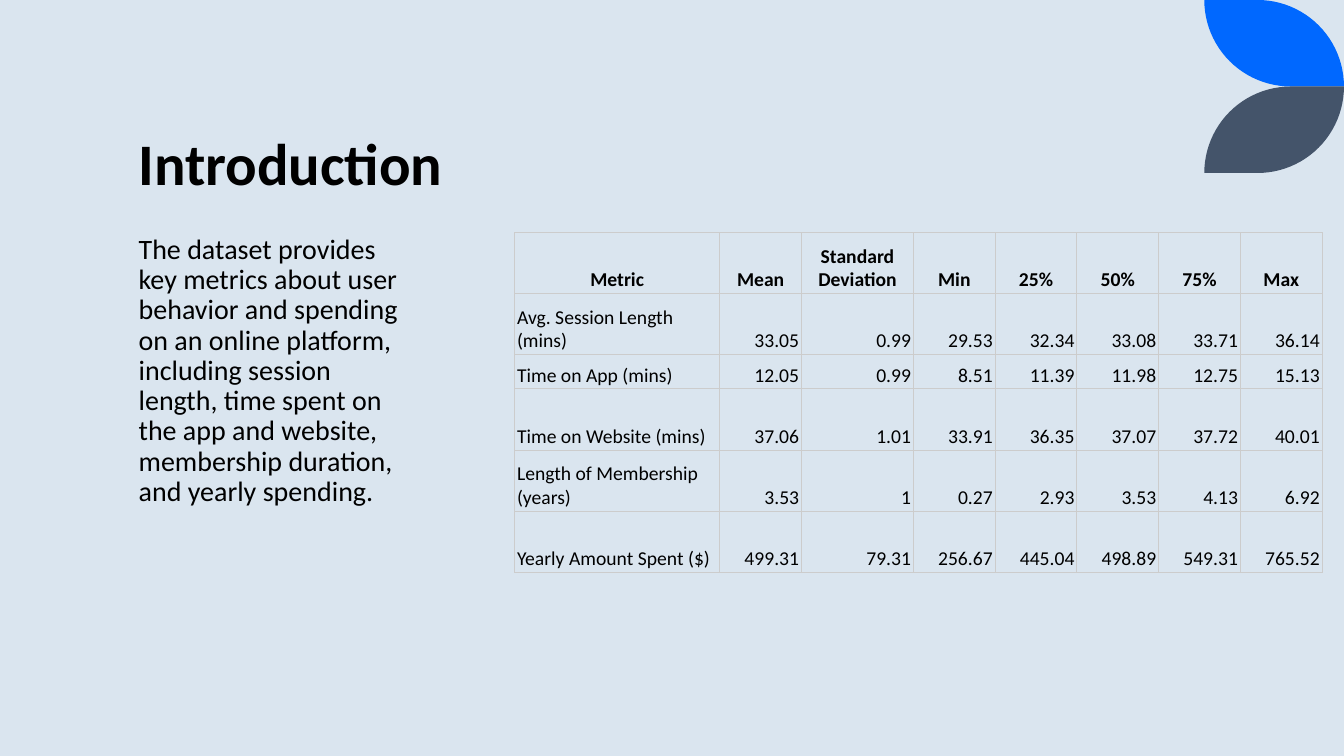
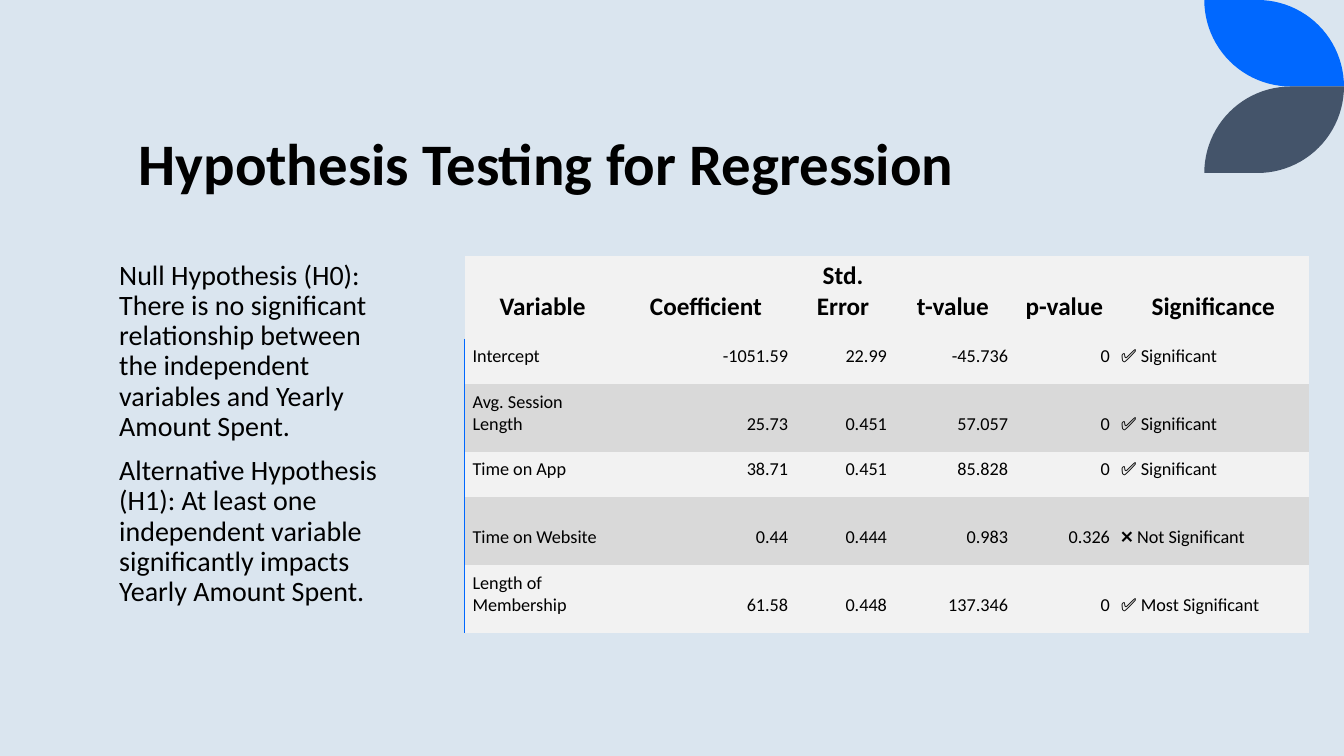
from lxml import etree
from pptx import Presentation
from pptx import util as u
from pptx.dml.color import RGBColor
from pptx.enum import text as t
from pptx.oxml import ns

HUES = {
    "back": "DAE5EF", "ink": "000000", "blue": "0068FF", "slate": "44546A",
    "line": "CCCCCC", "pale": "F2F2F2", "grey": "D9D9D9",
}
PLAIN = "{2D5ABB26-0587-4C30-8999-92F81FD0307C}"  # table style without grid
WIDE, HIGH = 33.87, 19.05
DEGREE = 60000  # angle unit of an arc


def hue(name):
    return RGBColor.from_string(HUES[name])


class Deck:
    """Holds the style and the current slide."""

    def __init__(self):
        self.show = Presentation()
        self.show.slide_width, self.show.slide_height = u.Cm(WIDE), u.Cm(HIGH)
        self.base = self.show.slide_layouts[1]
        self.base.background.fill.solid()
        self.base.background.fill.fore_color.rgb = hue("back")
        self.page = None

    def type(self, para, size, bold=False):
        font = para.font
        font.name, font.size, font.bold = "Calibri", u.Pt(size), bold
        font.color.rgb = hue("ink")

    def place(self, shape, left, top, width, height):
        shape.left, shape.top = u.Cm(left), u.Cm(top)
        shape.width, shape.height = u.Cm(width), u.Cm(height)

    # New slide with its title
    def add(self, title):
        self.page = self.show.slides.add_slide(self.base)
        head = self.page.shapes.title
        self.place(head, 3.24, 1.27, 26.92, 3.81)
        frame = head.text_frame
        frame.text = title
        frame.auto_size = t.MSO_AUTO_SIZE.NONE
        frame.vertical_anchor = t.MSO_ANCHOR.BOTTOM
        para = frame.paragraphs[0]
        para.alignment, para.line_spacing = t.PP_ALIGN.LEFT, 0.8
        self.type(para, 42, True)

    # Leaf with two rounded corners, kept on the layout for all slides
    def leaf(self, name, edge, way):
        wide, arc = 3.52, 2.18
        left, tip = WIDE - wide, edge + way * arc
        dots = [(WIDE - arc, edge), (WIDE, tip), (left + arc, tip), (left, edge)]
        path = self.page.shapes.build_freeform(u.Cm(left), u.Cm(edge))
        path.add_line_segments([(u.Cm(x), u.Cm(y)) for x, y in dots])
        shape = path.convert_to_shape()
        lines = shape.element.findall(".//" + ns.qn("a:lnTo"))
        for line, start in ((lines[1], 180 + way * 90), (lines[3], 180 - way * 90)):
            bend = etree.Element(
                ns.qn("a:arcTo"), wR=str(u.Cm(arc)), hR=str(u.Cm(arc)),
                stAng=str(start * DEGREE), swAng=str(way * 90 * DEGREE))
            line.getparent().replace(line, bend)
        shape.shadow.inherit = False
        shape.fill.solid()
        shape.fill.fore_color.rgb = hue(name)
        shape.line.fill.background()
        self.base.shapes.element.append(shape.element)

    # Body text without bullets
    def body(self, left, top, lines):
        box = self.page.placeholders[1]
        self.place(box, left, top, 7.49, 10.8)
        frame = box.text_frame
        frame.text = "\n".join(lines)
        frame.auto_size = t.MSO_AUTO_SIZE.NONE
        for para in frame.paragraphs:
            para.line_spacing, para.space_before = 0.9, u.Pt(10)
            self.type(para, 20)
            props = para._p.get_or_add_pPr()
            props.set("marL", "0")
            props.set("indent", "0")
            mark = etree.Element(ns.qn("a:buNone"))
            props.find(ns.qn("a:defRPr")).addprevious(mark)

    def edge(self, cell, side, name, width):
        props = cell._tc.get_or_add_tcPr()
        line = etree.SubElement(props, ns.qn("a:ln" + side), w=str(u.Pt(width)))
        fill = etree.SubElement(line, ns.qn("a:solidFill"))
        etree.SubElement(fill, ns.qn("a:srgbClr"), val=HUES[name])

    # Table: numbers right, labels left, header centred
    def table(self, left, top, cols, rows, data, pads, sizes, grid):
        frame = self.page.shapes.add_table(
            len(rows), len(cols), u.Cm(left), u.Cm(top),
            u.Cm(sum(cols)), u.Cm(sum(rows)))
        frame.element.find(".//" + ns.qn("a:tableStyleId")).text = PLAIN
        table = frame.table
        table.first_row = table.horz_banding = False
        for col, size in zip(table.columns, cols):
            col.width = u.Cm(size)
        for row, size in zip(table.rows, rows):
            row.height = u.Cm(size)
        for r, line in enumerate(data):
            for c, word in enumerate(line):
                self.cell(table.cell(r, c), word, r == 0, pads, sizes)
                self.paint(table.cell(r, c), r, c, grid)

    def cell(self, cell, word, head, pads, sizes):
        cell.text = word
        cell.vertical_anchor = t.MSO_ANCHOR.BOTTOM
        (cell.margin_left, cell.margin_top,
         cell.margin_right, cell.margin_bottom) = map(u.Cm, pads)
        para = cell.text_frame.paragraphs[0]
        if head:
            para.alignment = t.PP_ALIGN.CENTER
        elif word[-1].isdigit():
            para.alignment = t.PP_ALIGN.RIGHT
        else:
            para.alignment = t.PP_ALIGN.LEFT
        self.type(para, sizes[0] if head else sizes[1], head)

    # Either a thin grid, or bands with a blue edge at the left
    def paint(self, cell, r, c, grid):
        if grid:
            for side in "LRTB":
                self.edge(cell, side, "line", 0.75)
            cell.fill.background()
            return
        if r and not c:
            self.edge(cell, "L", "blue", 1)
        cell.fill.solid()
        cell.fill.fore_color.rgb = hue("grey" if r and r % 2 == 0 else "pale")


STATS = [
    ["Metric", "Mean", "Standard Deviation", "Min", "25%", "50%", "75%", "Max"],
    ["Avg. Session Length (mins)", "33.05", "0.99", "29.53", "32.34", "33.08",
     "33.71", "36.14"],
    ["Time on App (mins)", "12.05", "0.99", "8.51", "11.39", "11.98", "12.75",
     "15.13"],
    ["Time on Website (mins)", "37.06", "1.01", "33.91", "36.35", "37.07",
     "37.72", "40.01"],
    ["Length of Membership (years)", "3.53", "1", "0.27", "2.93", "3.53",
     "4.13", "6.92"],
    ["Yearly Amount Spent ($)", "499.31", "79.31", "256.67", "445.04",
     "498.89", "549.31", "765.52"],
]
TESTS = [
    ["Variable", "Coefficient", "Std. Error", "t-value", "p-value",
     "Significance"],
    ["Intercept", "-1051.59", "22.99", "-45.736", "0", "✅ Significant"],
    ["Avg. Session Length", "25.73", "0.451", "57.057", "0", "✅ Significant"],
    ["Time on App", "38.71", "0.451", "85.828", "0", "✅ Significant"],
    ["Time on Website", "0.44", "0.444", "0.983", "0.326",
     "❌ Not Significant"],
    ["Length of Membership", "61.58", "0.448", "137.346", "0",
     "✅ Most Significant"],
]


def main():
    deck = Deck()

    # Introduction
    deck.add("Introduction")
    deck.leaf("blue", 0, 1)
    deck.leaf("slate", 4.36, -1)
    deck.body(3.24, 5.8, [
        "The dataset provides key metrics about user behavior and spending on "
        "an online platform, including session length, time spent on the app "
        "and website, membership duration, and yearly spending."])
    deck.table(12.97, 5.86, [5.17, 2.06, 2.82] + [2.06] * 5,
               [1.54, 1.54, 0.86, 1.54, 1.54, 1.54], STATS,
               [0.06, 0.04, 0.06, 0.04], (14, 14), True)

    # Hypothesis testing
    deck.add("Hypothesis Testing for Regression")
    deck.body(2.75, 6.45, [
        "Null Hypothesis (H0): There is no significant relationship between "
        "the independent variables and Yearly Amount Spent.",
        "Alternative Hypothesis (H1): At least one independent variable "
        "significantly impacts Yearly Amount Spent."])
    deck.table(11.71, 6.46, [3.81, 4.42, 2.49, 3.05, 2.57, 4.93],
               [2.08, 1.14, 1.71, 1.14, 1.71, 1.71], TESTS,
               [0.2, 0.05, 0.08, 0.42], (18, 13), False)

    deck.show.save("out.pptx")


if __name__ == "__main__":
    main()
